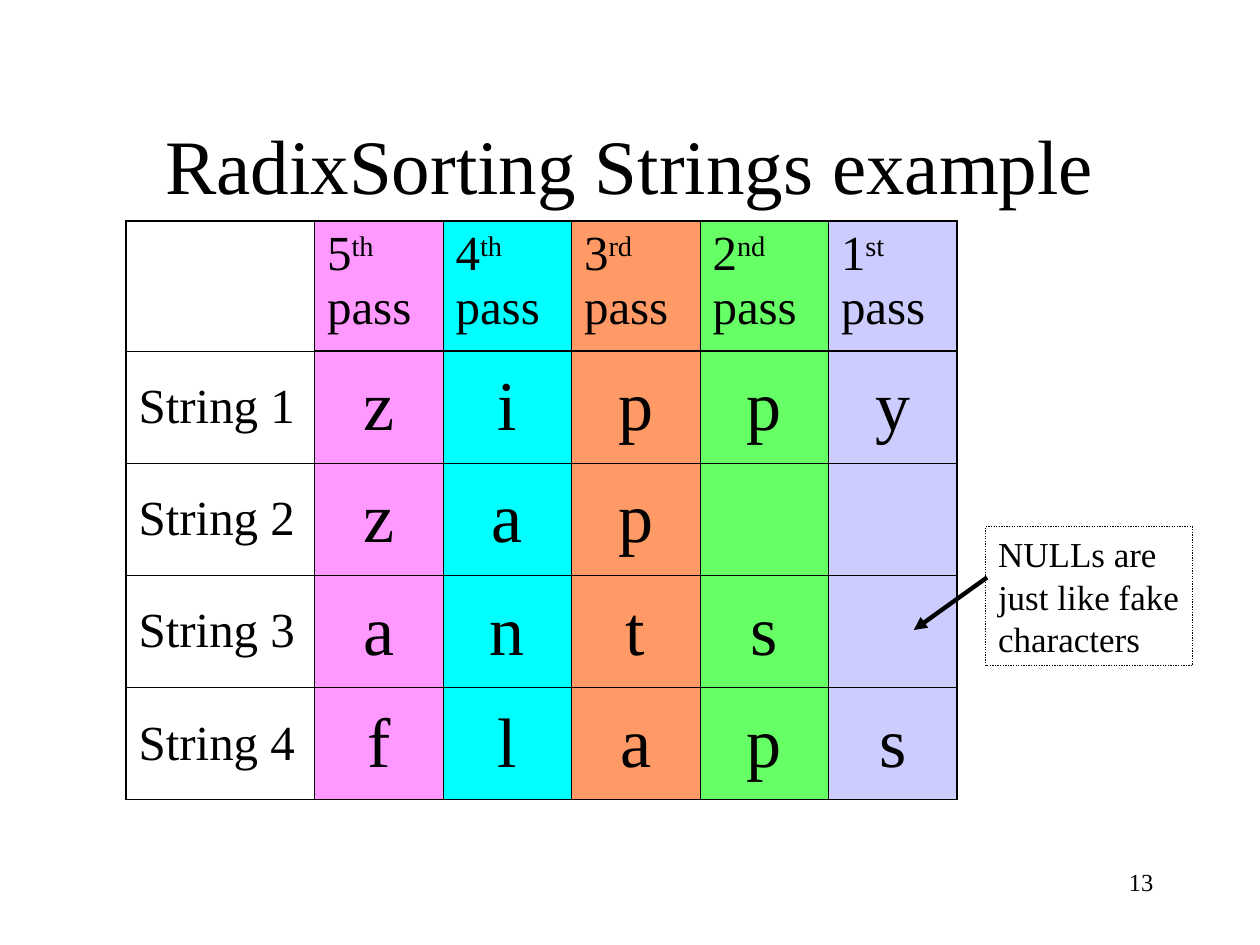
import pptx
import pptx.dml.color
import pptx.enum.dml
import pptx.enum.shapes
import pptx.enum.text
import pptx.oxml.ns
import pptx.util
from lxml import etree

Cm = pptx.util.Cm
Pt = pptx.util.Pt
RGBColor = pptx.dml.color.RGBColor
Align = pptx.enum.text.PP_ALIGN
Anchor = pptx.enum.text.MSO_ANCHOR
qn = pptx.oxml.ns.qn

BLACK = RGBColor(0x00, 0x00, 0x00)
PINK = RGBColor(0xFF, 0x99, 0xFF)
CYAN = RGBColor(0x00, 0xFF, 0xFF)
ORANGE = RGBColor(0xFF, 0x99, 0x66)
GREEN = RGBColor(0x66, 0xFF, 0x66)
LAVENDER = RGBColor(0xCC, 0xCC, 0xFF)

PASSES = [("5", "th", PINK), ("4", "th", CYAN), ("3", "rd", ORANGE),
          ("2", "nd", GREEN), ("1", "st", LAVENDER)]
STRINGS = ["zippy", "zap", "ants", "flaps"]
THIN, THICK = Pt(0.45), Pt(1.08)


class SlideBuilder:
    def __init__(self, slide, font_name="Times New Roman", color=BLACK):
        self.slide = slide
        self.font_name = font_name
        self.color = color

    def add_run(self, paragraph, text, size, superscript=False):
        run = paragraph.add_run()
        run.text = text
        run.font.name = self.font_name
        run.font.size = Pt(size)
        run.font.color.rgb = self.color
        if superscript:
            run._r.get_or_add_rPr().set("baseline", "30000")

    def title(self, text, left, top, width, height):
        shape = self.slide.shapes.title
        shape.left, shape.top = Cm(left), Cm(top)
        shape.width, shape.height = Cm(width), Cm(height)
        shape.text_frame.vertical_anchor = Anchor.MIDDLE
        paragraph = shape.text_frame.paragraphs[0]
        paragraph.alignment = Align.CENTER
        self.add_run(paragraph, text, 44)

    def page_number(self, text, left, top, width, height):
        box = self.slide.shapes.add_textbox(Cm(left), Cm(top), Cm(width), Cm(height))
        box.text_frame.word_wrap = True
        paragraph = box.text_frame.paragraphs[0]
        paragraph.alignment = Align.RIGHT
        self.add_run(paragraph, text, 14)

    def border(self, cell, side, width):
        line = etree.SubElement(cell._tc.get_or_add_tcPr(), qn(f"a:ln{side}"), w=str(width))
        fill = etree.SubElement(line, qn("a:solidFill"))
        etree.SubElement(fill, qn("a:srgbClr"), val=str(self.color))

    def cell_borders(self, cell, row, column, last_row, last_column):
        """Thick outside, around the block of letters, thin elsewhere."""
        thick_sides = {
            "L": column == 0 or (column == 1 and row > 0),
            "R": column == last_column or (column == 0 and row > 0),
            "T": row == 0 or (row == 1 and column > 0),
            "B": row == last_row or (row == 0 and column > 0),
        }
        for side, is_thick in thick_sides.items():
            self.border(cell, side, THICK if is_thick else THIN)

    def sorting_table(self, left, top, column_widths, row_heights):
        rows, columns = len(row_heights), len(column_widths)
        table = self.slide.shapes.add_table(
            rows, columns, Cm(left), Cm(top),
            Cm(sum(column_widths)), Cm(sum(row_heights))).table
        table.first_row = table.horz_banding = False
        for column, width in zip(table.columns, column_widths):
            column.width = Cm(width)
        for row, height in zip(table.rows, row_heights):
            row.height = Cm(height)

        for row in range(rows):
            for column in range(columns):
                cell = table.cell(row, column)
                self.cell_borders(cell, row, column, rows - 1, columns - 1)
                if column == 0:
                    cell.fill.background()
                else:
                    cell.fill.solid()
                    cell.fill.fore_color.rgb = PASSES[column - 1][2]
                self.cell_text(cell, row, column)

    def cell_text(self, cell, row, column):
        paragraph = cell.text_frame.paragraphs[0]
        if row > 0:
            cell.vertical_anchor = Anchor.MIDDLE
        if row == 0 and column > 0:
            number, suffix, _ = PASSES[column - 1]
            self.add_run(paragraph, number, 28)
            self.add_run(paragraph, suffix, 28, superscript=True)
            self.add_run(paragraph, " pass", 28)
        elif row > 0 and column == 0:
            self.add_run(paragraph, f"String {row}", 28)
        elif row > 0 and column <= len(STRINGS[row - 1]):
            paragraph.alignment = Align.CENTER
            self.add_run(paragraph, STRINGS[row - 1][column - 1], 40)

    def note(self, lines, left, top, width, height):
        shape = self.slide.shapes.add_shape(
            pptx.enum.shapes.MSO_SHAPE.RECTANGLE,
            Cm(left), Cm(top), Cm(width), Cm(height))
        shape.shadow.inherit = False
        shape.fill.background()
        shape.line.color.rgb = self.color
        shape.line.width = Pt(0.75)
        shape.line.dash_style = pptx.enum.dml.MSO_LINE.ROUND_DOT
        frame = shape.text_frame
        frame.word_wrap = False
        frame.auto_size = pptx.enum.text.MSO_AUTO_SIZE.SHAPE_TO_FIT_TEXT
        frame.vertical_anchor = Anchor.TOP
        for index, text in enumerate(lines):
            paragraph = frame.add_paragraph() if index else frame.paragraphs[0]
            paragraph.alignment = Align.LEFT
            self.add_run(paragraph, text, 20)

    def arrow(self, start_x, start_y, end_x, end_y):
        connector = self.slide.shapes.add_connector(
            pptx.enum.shapes.MSO_CONNECTOR.STRAIGHT,
            Cm(start_x), Cm(start_y), Cm(end_x), Cm(end_y))
        connector.line.color.rgb = self.color
        connector.line.width = Pt(2.5)
        etree.SubElement(connector.line._get_or_add_ln(), qn("a:tailEnd"), type="triangle")
        etree.SubElement(connector._element.spPr, qn("a:effectLst"))


def main():
    presentation = pptx.Presentation()
    presentation.slide_width = Cm(25.4)
    presentation.slide_height = Cm(19.05)
    title_only = presentation.slide_layouts[5]
    builder = SlideBuilder(presentation.slides.add_slide(title_only))

    builder.page_number("13", 18.2, 17.35, 5.3, 1.27)
    builder.title("RadixSorting Strings example", 1.9, 1.7, 21.6, 3.18)
    builder.sorting_table(2.54, 4.45,
                          [3.8] + [2.59] * len(PASSES),
                          [2.63] + [2.26] * len(STRINGS))
    builder.note(["NULLs are", "just like fake", "characters"], 19.87, 10.62, 4.17, 2.8)
    builder.arrow(19.9, 11.64, 18.42, 12.7)
    presentation.save("out.pptx")


if __name__ == "__main__":
    main()
